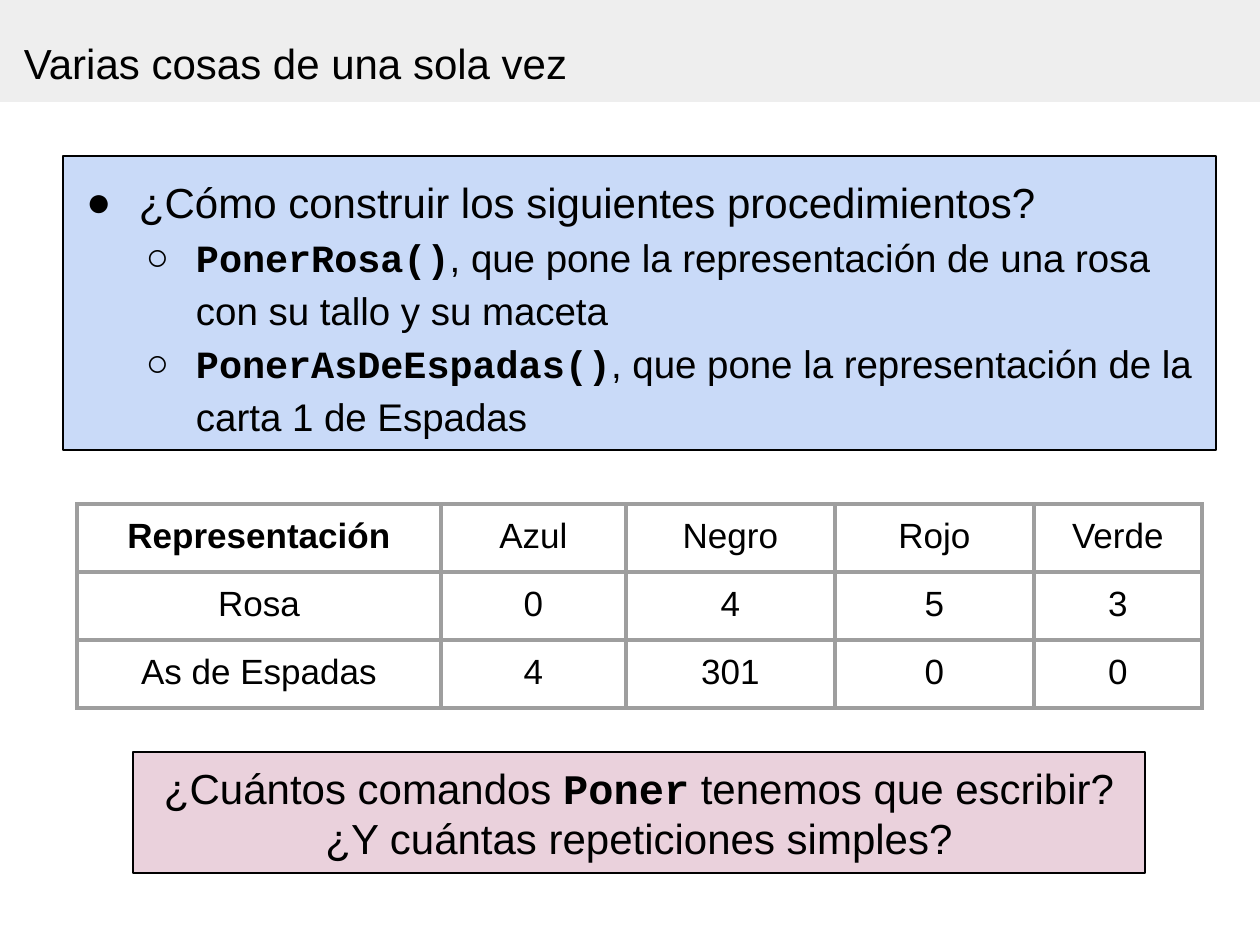
from lxml import etree
from pptx import Presentation
from pptx.dml.color import RGBColor
from pptx.enum.shapes import MSO_SHAPE
from pptx.enum.text import MSO_ANCHOR, PP_ALIGN
from pptx.oxml.ns import qn
from pptx.util import Pt

RECT = MSO_SHAPE.RECTANGLE
TOP, MIDDLE, BOTTOM = MSO_ANCHOR.TOP, MSO_ANCHOR.MIDDLE, MSO_ANCHOR.BOTTOM
LEFT, CENTER = PP_ALIGN.LEFT, PP_ALIGN.CENTER

COLORS = {
    "text": "000000",
    "band": "EEEEEE",
    "blue": "C9DAF8",
    "pink": "EAD1DC",
    "border": "9E9E9E",
}
SANS, MONO = "Arial", "Courier New"
INSET = 13
BULLETS = [("●", 63, -53), ("○", 120, -50)]


def px(n):
    return round(n * 914400 / 126)


def rgb(name):
    return RGBColor.from_string(COLORS[name])


def add_run(p, text, size=24, font=SANS, bold=False):
    r = p.add_run()
    r.text = text
    r.font.size = Pt(size)
    r.font.name = font
    r.font.bold = bold
    r.font.color.rgb = rgb("text")


def add_solid(parent, color):
    fill = etree.SubElement(parent, qn("a:solidFill"))
    etree.SubElement(fill, qn("a:srgbClr"), val=COLORS[color])


class SlideBuilder:
    def __init__(self, prs):
        self.s = prs.slides.add_slide(prs.slide_layouts[6])

    def frame(self, tf, anchor):
        tf.word_wrap = True
        tf.vertical_anchor = anchor
        tf.margin_left = tf.margin_right = px(INSET)
        tf.margin_top = tf.margin_bottom = px(INSET)

    def paragraphs(self, tf, items, align=LEFT):
        for i, runs in enumerate(items):
            p = tf.paragraphs[0] if i == 0 else tf.add_paragraph()
            p.alignment = align
            for text, style in runs:
                add_run(p, text, **style)

    def bullet(self, p, level):
        char, margin, indent = BULLETS[level]
        p.level = level
        p.line_spacing = 1.15
        pPr = p._p.get_or_add_pPr()
        pPr.set("marL", str(px(margin)))
        pPr.set("indent", str(px(indent)))
        clr = etree.SubElement(pPr, qn("a:buClr"))
        etree.SubElement(clr, qn("a:srgbClr"), val=COLORS["text"])
        etree.SubElement(pPr, qn("a:buFont"), typeface=SANS)
        etree.SubElement(pPr, qn("a:buChar"), char=char)

    def box(self, x, y, w, h, fill, outlined=True, anchor=TOP):
        sp = self.s.shapes.add_shape(RECT, px(x), px(y), px(w), px(h))
        sp.shadow.inherit = False
        sp.fill.solid()
        sp.fill.fore_color.rgb = rgb(fill)
        if outlined:
            sp.line.color.rgb = rgb("text")
            sp.line.width = Pt(0.75)
        else:
            sp.line.fill.background()
        self.frame(sp.text_frame, anchor)
        return sp.text_frame

    def title(self, x, y, w, h, text):
        tf = self.s.shapes.add_textbox(px(x), px(y), px(w), px(h)).text_frame
        self.frame(tf, BOTTOM)
        self.paragraphs(tf, [[(text, {})]])

    def borders(self, cell, color, width):
        tcPr = cell._tc.get_or_add_tcPr()
        for i, side in enumerate(("a:lnL", "a:lnR", "a:lnT", "a:lnB")):
            ln = etree.Element(qn(side), w=str(Pt(width)))
            add_solid(ln, color)
            tcPr.insert(i, ln)

    def table(self, x, y, widths, row_height, rows):
        shape = self.s.shapes.add_table(
            len(rows), len(widths), px(x), px(y),
            px(sum(widths)), px(row_height * len(rows)))
        table = shape.table
        table.first_row = table.horz_banding = False
        for column, width in zip(table.columns, widths):
            column.width = px(width)
        for i, values in enumerate(rows):
            table.rows[i].height = px(row_height)
            for j, value in enumerate(values):
                cell = table.cell(i, j)
                cell.fill.background()
                cell.margin_left = cell.margin_right = px(INSET)
                cell.margin_top = cell.margin_bottom = px(INSET)
                p = cell.text_frame.paragraphs[0]
                p.alignment = CENTER
                add_run(p, value, size=20, bold=i == j == 0)
                self.borders(cell, "border", 2.25)


def main():
    prs = Presentation()
    prs.slide_width, prs.slide_height = px(1260), px(945)
    b = SlideBuilder(prs)

    b.box(0, 0, 1260, 102, "band", outlined=False)
    b.title(11, 8, 934, 93, "Varias cosas de una sola vez")

    code, detail = {"size": 22, "font": MONO, "bold": True}, {"size": 22}
    tf = b.box(63, 156, 1153, 294, "blue")
    b.paragraphs(tf, [
        [("¿Cómo construir los siguientes procedimientos?", {})],
        [("PonerRosa()", code),
         (", que pone la representación de una rosa con su tallo y su maceta", detail)],
        [("PonerAsDeEspadas()", code),
         (", que pone la representación de la carta 1 de Espadas", detail)],
    ])
    for p, level in zip(tf.paragraphs, (0, 1, 1)):
        b.bullet(p, level)

    b.table(77, 504, [364, 185, 209, 199, 168], 64, [
        ["Representación", "Azul", "Negro", "Rojo", "Verde"],
        ["Rosa", "0", "4", "5", "3"],
        ["As de Espadas", "4", "301", "0", "0"],
    ])

    tf = b.box(133, 752, 1012, 121, "pink", anchor=MIDDLE)
    b.paragraphs(tf, [
        [("¿Cuántos comandos ", {}),
         ("Poner", {"font": MONO, "bold": True}),
         (" tenemos que escribir?", {})],
        [("¿Y cuántas repeticiones simples?", {})],
    ], align=CENTER)

    prs.save("out.pptx")


if __name__ == "__main__":
    main()
